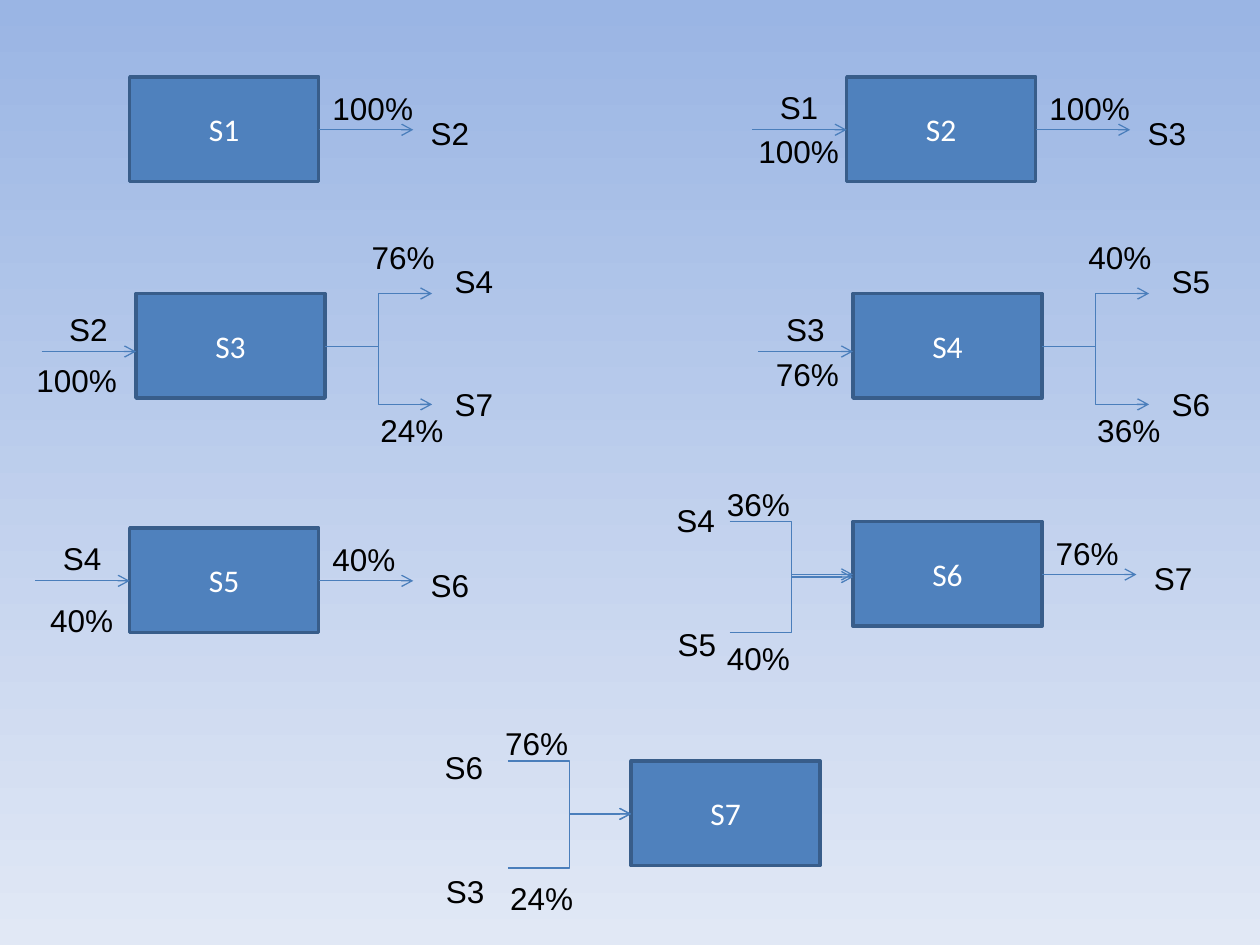
from pptx import Presentation
from pptx.dml.color import RGBColor
from pptx.enum.shapes import MSO_CONNECTOR as Link, MSO_SHAPE as Shape
from pptx.enum.text import MSO_ANCHOR as Anchor, MSO_AUTO_SIZE as Auto, PP_ALIGN as Align
from pptx.oxml.ns import qn
from pptx.util import Inches, Pt
from lxml.etree import SubElement

WIDE, HIGH = 1.5, 0.83
MID = 0.42
WIDTHS = {2: 0.52, 3: 0.71, 4: 0.85}


def color(code):
    return RGBColor.from_string(code)


def write(frame, text, font="Arial", ink="000000", align=Align.LEFT):
    part = frame.paragraphs[0]
    part.alignment = align
    run = part.add_run()
    run.text = text
    run.font.name = font
    run.font.size = Pt(18)
    run.font.color.rgb = color(ink)


def label(page, x, y, text):
    box = page.shapes.add_textbox(Inches(x), Inches(y),
                                  Inches(WIDTHS[len(text)]), Inches(0.4))
    frame = box.text_frame
    frame.word_wrap = False
    frame.auto_size = Auto.SHAPE_TO_FIT_TEXT
    write(frame, text)


def stage(page, x, y, name):
    box = page.shapes.add_shape(Shape.RECTANGLE, Inches(x), Inches(y),
                                Inches(WIDE), Inches(HIGH))
    box.shadow.inherit = False
    box.fill.solid()
    box.fill.fore_color.rgb = color("4F81BD")
    box.line.color.rgb = color("385D8A")
    box.line.width = Pt(2)
    box.text_frame.vertical_anchor = Anchor.MIDDLE
    write(box.text_frame, name, font="Calibri", ink="FFFFFF", align=Align.CENTER)


def arrow(page, x1, y1, x2, y2, kind=Link.STRAIGHT):
    line = page.shapes.add_connector(kind, Inches(x1), Inches(y1),
                                     Inches(x2), Inches(y2))
    line.line.color.rgb = color("4A7EBB")
    line.line.width = Pt(0.75)
    SubElement(line.line._get_or_add_ln(), qn("a:tailEnd"), type="arrow")
    SubElement(line._element.spPr, qn("a:effectLst"))


def send(page, x, y, name, share):
    """Draw the single output of the stage at x, y."""
    arrow(page, x + WIDE, y + MID, x + 2.25, y + MID)
    label(page, x + 2.29, y + 0.25, name)
    label(page, x + 1.51, y + 0.05, share)


def take(page, x, y, name, share, dx, dy, drop=MID):
    """Draw the single input of a stage; dx and dy place its share."""
    arrow(page, x - 0.75, y + drop, x, y + drop)
    label(page, x - 0.63, y + drop - 0.38, name)
    label(page, x + dx, y + dy, share)


def split(page, x, y, upper, lower):
    """Draw two outputs, each a name and a share."""
    spots = ((upper, 0, -0.3, 1.77, -0.49), (lower, 0.88, 0.68, 1.84, 0.88))
    for (name, share), end, rise, dx, dy in spots:
        arrow(page, x + WIDE, y + MID, x + 2.35, y + end, Link.ELBOW)
        label(page, x + 2.43, y + rise, name)
        label(page, x + dx, y + dy, share)


def join(page, x, y, *flows):
    """Draw inputs: start and end heights, then each label with its offset."""
    for start, end, *notes in flows:
        arrow(page, x - 0.98, y + start, x, y + end, Link.ELBOW)
        for text, dx, dy in notes:
            label(page, x + dx, y + dy, text)


def main():
    deck = Presentation()
    deck.slide_width, deck.slide_height = Inches(10), Inches(7.5)
    page = deck.slides.add_slide(deck.slide_layouts[6])
    back = page.background.fill
    back.gradient()
    back.gradient_angle = 270
    for stop, code, spot in zip(back.gradient_stops, ("9AB5E4", "E1E8F5"), (0, 1)):
        stop.color.rgb = color(code)
        stop.position = spot

    spots = {"S1": (1.03, 0.61), "S2": (6.72, 0.61), "S3": (1.08, 2.33),
             "S4": (6.77, 2.33), "S5": (1.03, 4.19), "S6": (6.77, 4.14),
             "S7": (5.01, 6.04)}
    for name, (x, y) in spots.items():
        stage(page, x, y, name)

    for name, goal, share in (("S1", "S2", "100%"), ("S2", "S3", "100%"),
                              ("S5", "S6", "40%"), ("S6", "S7", "76%")):
        send(page, *spots[name], goal, share)

    take(page, *spots["S2"], "S1", "100%", -0.8, 0.39)
    take(page, *spots["S3"], "S2", "100%", -0.89, 0.49, drop=0.46)
    take(page, *spots["S4"], "S3", "76%", -0.71, 0.44, drop=0.46)
    take(page, *spots["S5"], "S4", "40%", -0.73, 0.53)

    split(page, *spots["S3"], ("S4", "76%"), ("S7", "24%"))
    split(page, *spots["S4"], ("S5", "40%"), ("S6", "36%"))

    join(page, *spots["S6"],
         (0, 0.44, ("S4", -1.5, -0.21), ("36%", -1.1, -0.34)),
         (0.88, MID, ("S5", -1.49, 0.77), ("40%", -1.1, 0.88)))
    join(page, *spots["S7"],
         (0, MID, ("S6", -1.58, -0.15), ("76%", -1.1, -0.34)),
         (0.85, MID, ("S3", -1.57, 0.83), ("24%", -1.06, 0.89)))
    deck.save("out.pptx")


if __name__ == "__main__":
    main()
